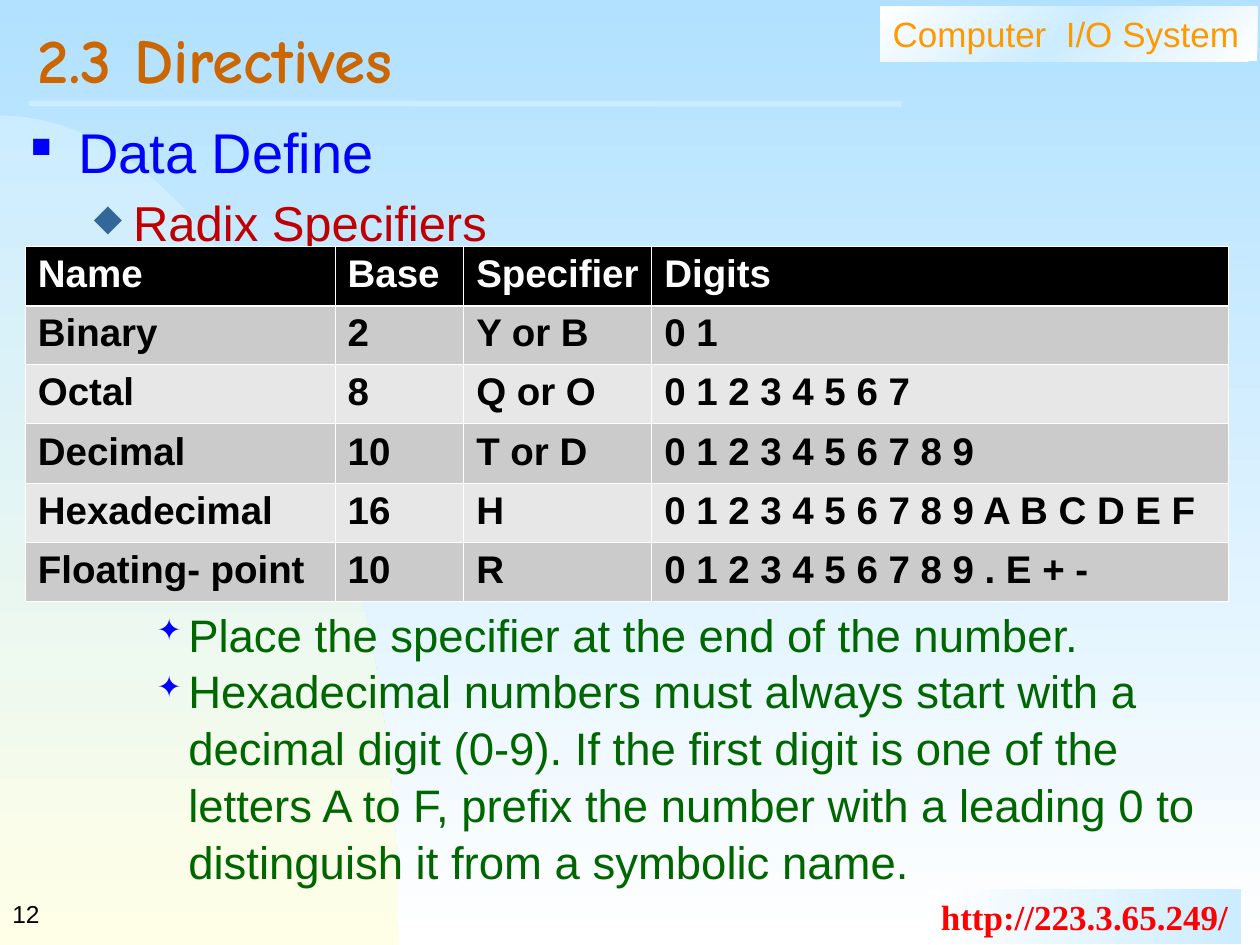
import copy
import dataclasses

import pptx
import pptx.dml.color
import pptx.enum.shapes
import pptx.enum.text
import pptx.oxml
import pptx.oxml.ns
import pptx.util

Pt = pptx.util.Pt
qn = pptx.oxml.ns.qn
MIDDLE = pptx.enum.text.MSO_ANCHOR.MIDDLE
NAMESPACE = pptx.oxml.ns.nsdecls("a")


@dataclasses.dataclass(frozen=True)
class Theme:
    sans: str = "Arial"
    serif: str = "Times New Roman"
    display: str = "Comic Neue"
    sky: str = "B1E1FF"
    pale_blue: str = "CCECFF"
    cream: str = "FFFFE7"
    white: str = "FFFFFF"
    black: str = "000000"
    orange: str = "FF9900"
    brown: str = "CC6600"
    red: str = "FF0000"
    dark_red: str = "C00000"
    blue: str = "0000FF"
    steel: str = "336699"
    green: str = "006600"
    bands: tuple = ("CBCBCB", "E7E7E7")
    title_size: int = 36
    topic_size: int = 32
    subtopic_size: int = 28
    detail_size: int = 26
    table_size: int = 22
    label_size: int = 20
    number_size: int = 14


class SlideBuilder:
    """Draws styled elements on the current slide."""

    def __init__(self, slide, theme):
        self.slide = slide
        self.theme = theme

    def colour(self, value):
        return pptx.dml.color.RGBColor.from_string(value)

    def gradient(self, fill, element, colours, clockwise):
        fill.gradient()
        fill.gradient_angle = -clockwise % 360
        stop_list = element.find(".//" + qn("a:gsLst"))
        for _ in colours[2:]:
            stop_list.append(copy.deepcopy(stop_list[0]))
        for index, (stop, value) in enumerate(zip(fill.gradient_stops, colours)):
            stop.position = index / (len(colours) - 1)
            stop.color.rgb = self.colour(value)

    def background(self, colours):
        self.gradient(self.slide.background.fill, self.slide.element, colours, 90)

    def curve(self, controls, colours, steps=32):
        def point(t):
            weights = ((1 - t) ** 3, 3 * t * (1 - t) ** 2, 3 * t * t * (1 - t), t**3)
            return tuple(
                Pt(sum(w * c[axis] for w, c in zip(weights, controls))) for axis in (0, 1)
            )

        builder = self.slide.shapes.build_freeform(*point(0))
        corner = (Pt(controls[0][0]), Pt(controls[-1][1]))
        builder.add_line_segments([point(i / steps) for i in range(1, steps + 1)] + [corner])
        self.finish(builder.convert_to_shape(), colours, 90)

    def finish(self, shape, colours, clockwise):
        shape.shadow.inherit = False
        shape.line.fill.background()
        self.gradient(shape.fill, shape.element, colours, clockwise)

    def line(self, start, end, value, width):
        ends = [Pt(number) for number in (*start, *end)]
        connector = self.slide.shapes.add_connector(
            pptx.enum.shapes.MSO_CONNECTOR.STRAIGHT, *ends
        )
        connector.line.color.rgb = self.colour(value)
        connector.line.width = Pt(width)
        connector.element.spPr.append(pptx.oxml.parse_xml(f"<a:effectLst {NAMESPACE}/>"))

    def fill_paragraph(self, paragraph, text, size, value, name=None, bold=False, **layout):
        paragraph.text = text
        paragraph.alignment = pptx.enum.text.PP_ALIGN.LEFT
        for attribute, setting in layout.items():
            setattr(paragraph, attribute, setting)
        font = paragraph.runs[0].font
        formats = {"size": Pt(size), "name": name or self.theme.sans, "bold": bold}
        for attribute, setting in formats.items():
            setattr(font, attribute, setting)
        font.color.rgb = self.colour(value)

    def text(self, box, text, size, value, **formats):
        frame = self.slide.shapes.add_textbox(*map(Pt, box)).text_frame
        frame.word_wrap = True
        frame.vertical_anchor = MIDDLE
        self.fill_paragraph(frame.paragraphs[0], text, size, value, **formats)

    def label(self, box, text, value, colours, clockwise, **formats):
        shape = self.slide.shapes.add_shape(
            pptx.enum.shapes.MSO_SHAPE.RECTANGLE, *map(Pt, box)
        )
        self.finish(shape, colours, clockwise)
        shape.text_frame.word_wrap = False
        paragraph = shape.text_frame.paragraphs[0]
        self.fill_paragraph(paragraph, text, self.theme.label_size, value, **formats)

    def outline(self, box, items):
        frame = self.slide.shapes.add_textbox(*map(Pt, box)).text_frame
        frame.word_wrap = True
        for index, (text, size, value, level, bullet, before) in enumerate(items):
            paragraph = frame.add_paragraph() if index else frame.paragraphs[0]
            symbol, symbol_colour, percent, margin, hanging = bullet
            properties = paragraph._p.get_or_add_pPr()
            properties.set("marL", str(Pt(margin)))
            properties.set("indent", str(Pt(-hanging)))
            for xml in (
                f'<a:buClr {NAMESPACE}><a:srgbClr val="{symbol_colour}"/></a:buClr>',
                f'<a:buSzPct {NAMESPACE} val="{percent * 1000}"/>',
                f'<a:buChar {NAMESPACE} char="{symbol}"/>',
            ):
                properties.append(pptx.oxml.parse_xml(xml))
            self.fill_paragraph(paragraph, text, size, value, level=level,
                                line_spacing=1.04, space_before=Pt(before))

    def border(self, cell, side, width):
        cell._tc.get_or_add_tcPr().append(pptx.oxml.parse_xml(
            f'<a:{side} {NAMESPACE} w="{Pt(width)}"><a:solidFill>'
            f'<a:srgbClr val="{self.theme.white}"/></a:solidFill></a:{side}>'
        ))

    def table(self, left, top, widths, row_height, rows):
        theme = self.theme
        table = self.slide.shapes.add_table(
            len(rows), len(widths), Pt(left), Pt(top),
            Pt(sum(widths)), Pt(row_height * len(rows)),
        ).table
        for column, width in zip(table.columns, widths):
            column.width = Pt(width)
        for index, row in enumerate(rows):
            table.rows[index].height = Pt(row_height)
            fill = theme.bands[(index - 1) % 2] if index else theme.black
            value = theme.black if index else theme.white
            thick = {0: "lnB", 1: "lnT"}.get(index)
            for cell, text in zip(table.rows[index].cells, row):
                for side in ("lnL", "lnR", "lnT", "lnB"):
                    self.border(cell, side, 1.5 if side == thick else 0.45)
                cell.fill.solid()
                cell.fill.fore_color.rgb = self.colour(fill)
                paragraph = cell.text_frame.paragraphs[0]
                self.fill_paragraph(paragraph, text, theme.table_size, value, bold=True)


def main():
    presentation = pptx.Presentation()
    presentation.slide_width, presentation.slide_height = Pt(720), Pt(540)
    theme = Theme()
    slide = presentation.slides.add_slide(presentation.slide_layouts[6])
    builder = SlideBuilder(slide, theme)
    builder.background((theme.sky, theme.white))
    builder.curve(((0, 66), (126, 66), (228, 279), (228, 540)), (theme.pale_blue, theme.cream))
    builder.label((503, 3.5, 215.5, 31.5), "Computer  I/O System", theme.orange,
                  (theme.white, theme.pale_blue, theme.white), 45)
    builder.label((530.5, 508, 178.5, 31.5), "http://223.3.65.249/", theme.red,
                  (theme.white, theme.pale_blue), 0, name=theme.serif, bold=True)
    builder.line((16.5, 59), (515, 59.5), theme.pale_blue, 3)
    builder.text((14.5, 11, 687.5, 55), "2.3 Directives", theme.title_size, theme.brown,
                 name=theme.display, bold=True, line_spacing=0.7)
    square = ("■", theme.blue, 50, 27, 27)
    diamond = ("◆", theme.steel, 75, 58.5, 22.5)
    star = ("✦", theme.blue, 65, 90, 18)
    builder.outline((10.5, 62, 691.5, 458), (
        ("Data Define", theme.topic_size, theme.blue, 0, square, 0),
        ("Radix Specifiers", theme.subtopic_size, theme.dark_red, 1, diamond, 3),
        ("Place the specifier at the end of the number.",
         theme.detail_size, theme.green, 2, star, 202),
        ("Hexadecimal numbers must always start with a decimal digit (0-9). If the first "
         "digit is one of the letters A to F, prefix the number with a leading 0 to "
         "distinguish it from a symbolic name.", theme.detail_size, theme.green, 2, star, 0),
    ))
    builder.text((0, 504, 150, 36), "12", theme.number_size, theme.black)
    builder.table(14.5, 141, (177, 73.5, 107.5, 329.5), 33.75, (
        ("Name", "Base", "Specifier", "Digits"),
        ("Binary", "2", "Y or B", "0 1"),
        ("Octal", "8", "Q or O", "0 1 2 3 4 5 6 7"),
        ("Decimal", "10", "T or D", "0 1 2 3 4 5 6 7 8 9"),
        ("Hexadecimal", "16", "H", "0 1 2 3 4 5 6 7 8 9 A B C D E F"),
        ("Floating- point", "10", "R", "0 1 2 3 4 5 6 7 8 9 . E + -"),
    ))
    presentation.save("out.pptx")


if __name__ == "__main__":
    main()
